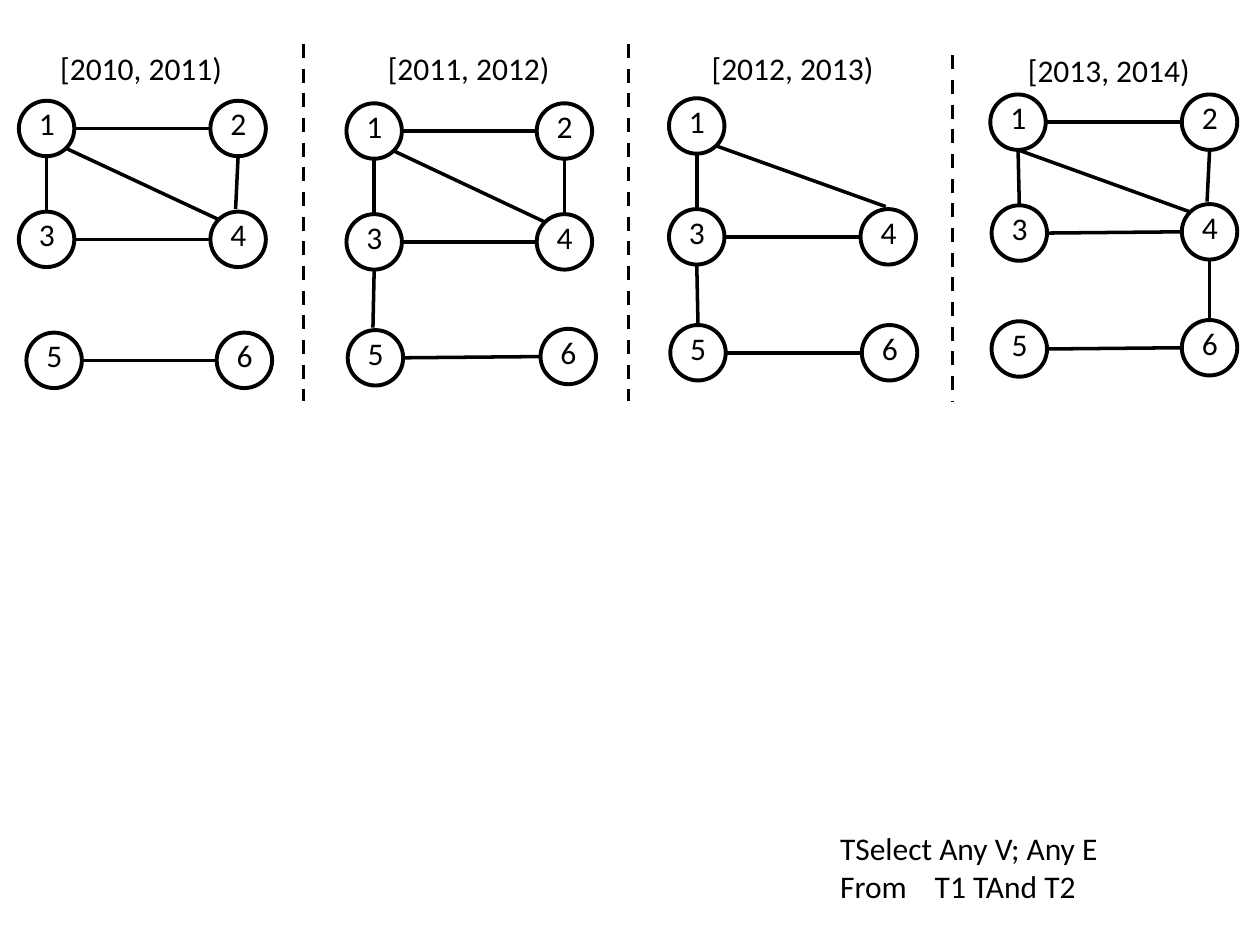
from dataclasses import dataclass
from enum import Enum

from lxml.etree import SubElement
from pptx import Presentation
from pptx.dml.color import RGBColor
from pptx.enum.dml import MSO_LINE_DASH_STYLE as Dash
from pptx.enum.shapes import MSO_CONNECTOR as Conn, MSO_SHAPE as Shape
from pptx.enum.text import MSO_AUTO_SIZE as AutoSize
from pptx.oxml.ns import qn
from pptx.util import Inches, Pt

COLORS = {"ink": "000000"}
FONT = "Calibri"
DIAMETER = 0.44
LABEL_DX, LABEL_DY = 0.06, -0.02


class Site(Enum):
    LEFT = (0, 0.22)
    RIGHT = (0.44, 0.22)
    TOP = (0.22, 0)
    BOTTOM = (0.22, 0.44)
    TOP_LEFT = (0.06, 0.06)
    BOTTOM_RIGHT = (0.38, 0.38)
    LABEL_TOP = (0.2, -0.02)


@dataclass
class Edge:
    start: int
    end: int
    leave: Site = Site.RIGHT
    enter: Site = Site.LEFT


@dataclass
class Snapshot:
    interval: str
    label_at: tuple[float, float]
    nodes: dict[int, tuple[float, float]]
    edges: list[Edge]


@dataclass
class Divider:
    x: float
    top: float


def down(start: int, end: int, enter: Site = Site.TOP) -> Edge:
    return Edge(start, end, Site.BOTTOM, enter)


def diagonal(leave: Site = Site.BOTTOM_RIGHT, enter: Site = Site.TOP_LEFT) -> Edge:
    return Edge(1, 4, leave, enter)


SNAPSHOTS = [
    Snapshot(
        "[2010, 2011)", (0.38, 0.34),
        {1: (0.15, 0.8), 2: (1.67, 0.8), 3: (0.15, 1.68),
         4: (1.67, 1.68), 5: (0.21, 2.64), 6: (1.72, 2.64)},
        [Edge(1, 2), Edge(3, 4), Edge(5, 6), diagonal(),
         down(1, 3), down(2, 4, Site.LABEL_TOP)],
    ),
    Snapshot(
        "[2011, 2012)", (2.98, 0.34),
        {1: (2.75, 0.82), 2: (4.26, 0.82), 3: (2.75, 1.7),
         4: (4.26, 1.7), 5: (2.76, 2.62), 6: (4.29, 2.61)},
        [Edge(1, 2), Edge(3, 4), Edge(5, 6), diagonal(),
         down(1, 3), down(2, 4), down(3, 5, Site.LABEL_TOP)],
    ),
    Snapshot(
        "[2012, 2013)", (5.55, 0.34),
        {1: (5.31, 0.78), 3: (5.31, 1.66), 4: (6.83, 1.66),
         5: (5.32, 2.58), 6: (6.84, 2.58)},
        [Edge(3, 4), Edge(5, 6), diagonal(enter=Site.LABEL_TOP),
         down(1, 3), down(3, 5)],
    ),
    Snapshot(
        "[2013, 2014)", (8.06, 0.36),
        {1: (7.86, 0.75), 2: (9.38, 0.75), 3: (7.87, 1.63),
         4: (9.38, 1.62), 5: (7.87, 2.55), 6: (9.38, 2.54)},
        [Edge(1, 2), Edge(3, 4), Edge(5, 6), diagonal(leave=Site.BOTTOM),
         down(1, 3), down(2, 4, Site.LABEL_TOP), down(4, 6)],
    ),
]
DIVIDERS = [Divider(2.41, 0.35), Divider(4.99, 0.35), Divider(7.56, 0.44)]
DIVIDER_BOTTOM = 3.18


def ink() -> RGBColor:
    return RGBColor.from_string(COLORS["ink"])


def add_text(shapes, text: str, x: float, y: float, w: float, h: float, *,
             size: float = 18, wrap: bool = False, tab: float | None = None) -> None:
    tf = shapes.add_textbox(Inches(x), Inches(y), Inches(w), Inches(h)).text_frame
    tf.word_wrap = wrap
    tf.auto_size = AutoSize.SHAPE_TO_FIT_TEXT
    tf.text = text
    for p in tf.paragraphs:
        if tab is not None:
            tabs = SubElement(p._p.get_or_add_pPr(), qn("a:tabLst"))
            SubElement(tabs, qn("a:tab"), pos=str(Inches(tab)), algn="l")
        for r in p.runs:
            r.font.name = FONT
            r.font.size = Pt(size)
            r.font.color.rgb = ink()


def add_line(shapes, start: tuple[float, float], end: tuple[float, float], *,
             dashed: bool = False) -> None:
    line = shapes.add_connector(Conn.STRAIGHT, *map(Inches, (*start, *end)))
    line.line.color.rgb = ink()
    line.line.width = Pt(2)
    if dashed:
        line.line.dash_style = Dash.DASH
    SubElement(line._element.spPr, qn("a:effectLst"))


def add_node(shapes, number: int, x: float, y: float) -> None:
    add_text(shapes, str(number), x + LABEL_DX, y + LABEL_DY, 0.3, 0.4, wrap=True)
    sp = shapes.add_shape(Shape.OVAL, Inches(x), Inches(y),
                          Inches(DIAMETER), Inches(DIAMETER))
    sp.shadow.inherit = False
    sp.fill.background()
    sp.line.color.rgb = ink()
    sp.line.width = Pt(2.25)


def site_point(snapshot: Snapshot, node: int, site: Site) -> tuple[float, float]:
    x, y = snapshot.nodes[node]
    dx, dy = site.value
    return x + dx, y + dy


def add_snapshot(s, snapshot: Snapshot) -> None:
    shapes = s.shapes.add_group_shape().shapes
    add_text(shapes, snapshot.interval, *snapshot.label_at, 1.5, 0.4)
    for edge in snapshot.edges:
        add_line(shapes, site_point(snapshot, edge.start, edge.leave),
                 site_point(snapshot, edge.end, edge.enter))
    for number, (x, y) in snapshot.nodes.items():
        add_node(shapes, number, x, y)


prs = Presentation()
prs.slide_width, prs.slide_height = Inches(10), Inches(7.5)
s = prs.slides.add_slide(prs.slide_layouts[6])

for divider in DIVIDERS:
    add_line(s.shapes, (divider.x, divider.top), (divider.x, DIVIDER_BOTTOM), dashed=True)
for snapshot in SNAPSHOTS:
    add_snapshot(s, snapshot)
add_text(s.shapes, "TSelect Any V; Any E\nFrom\tT1 TAnd T2", 6.57, 6.53, 2.27, 0.71, tab=0.75)

prs.save("out.pptx")
